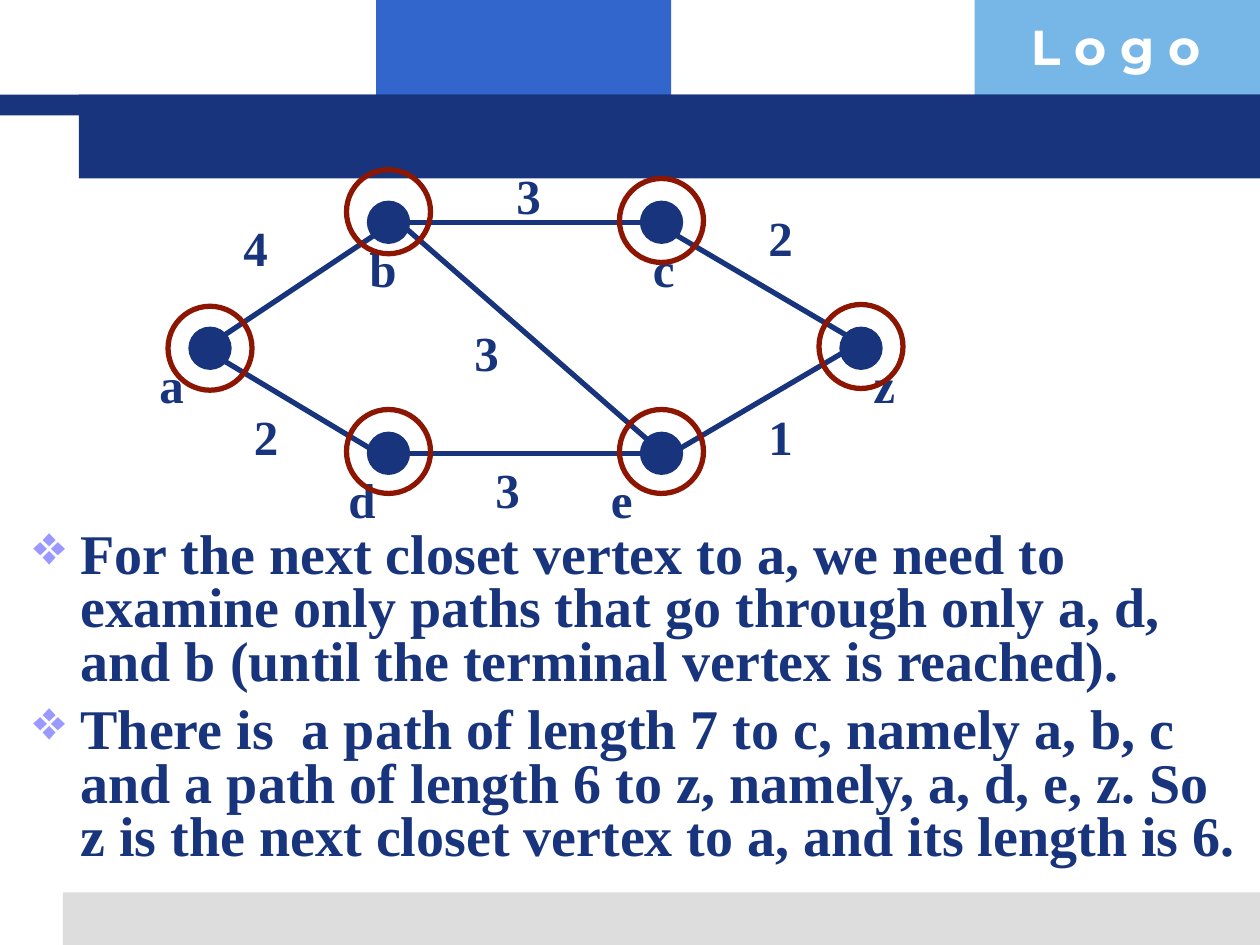
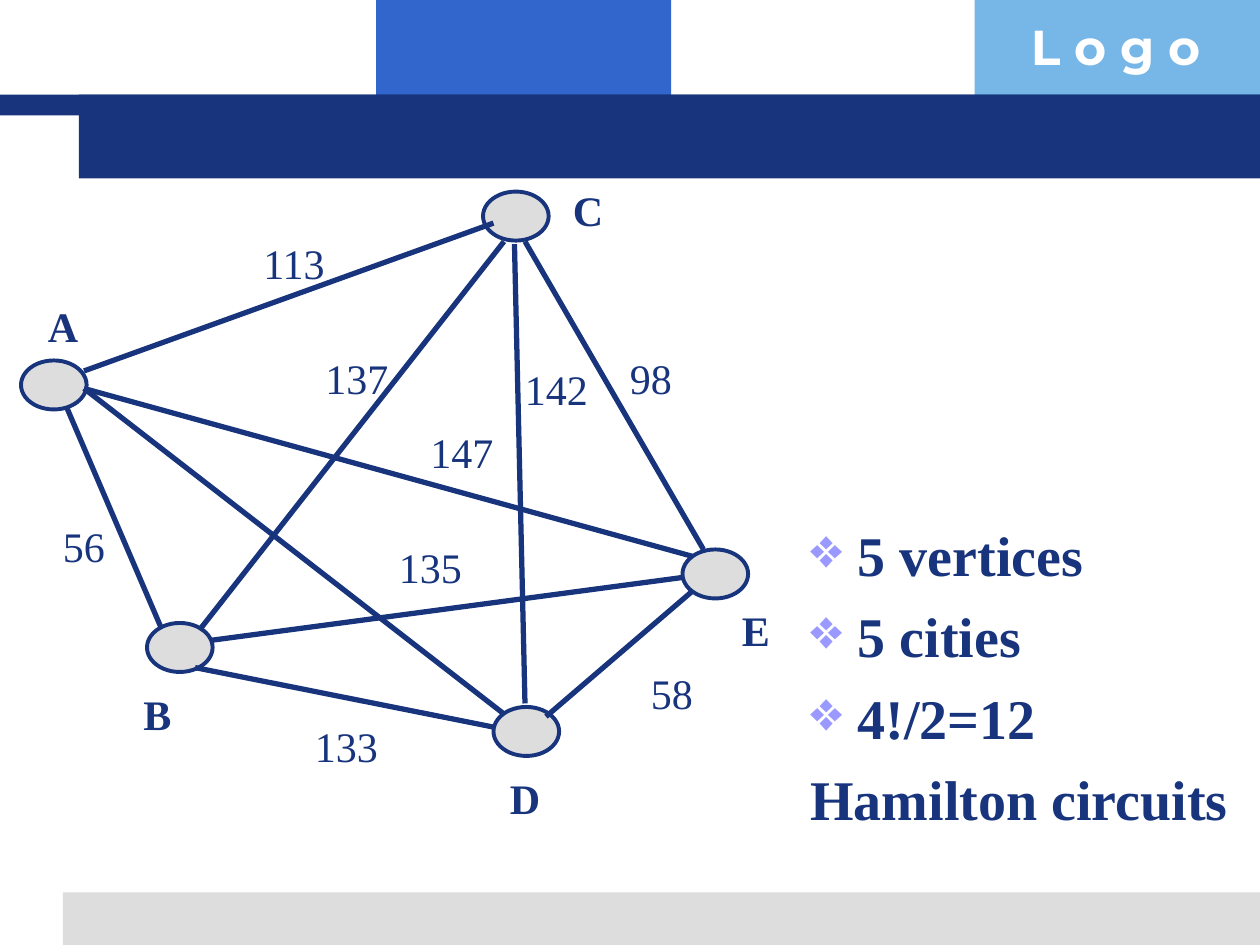
import pptx
import pptx.util
import pptx.dml.color
import pptx.enum.shapes
import pptx.enum.text
import pptx.oxml.ns
import lxml.etree

Pt = pptx.util.Pt
RGB = pptx.dml.color.RGBColor
SHAPE = pptx.enum.shapes.MSO_SHAPE
ALIGN = pptx.enum.text.PP_ALIGN
ANCHOR = pptx.enum.text.MSO_ANCHOR

NAVY = RGB(0x17, 0x34, 0x7D)
BLUE = RGB(0x33, 0x66, 0xCC)
SKY = RGB(0x77, 0xB7, 0xE7)
GREY = RGB(0xDD, 0xDD, 0xDD)
WHITE = RGB(0xFF, 0xFF, 0xFF)
LILAC = RGB(0x99, 0x99, 0xFF)
RED = RGB(0x8C, 0x16, 0x02)

BANDS = [
    ((215, 0, 168.5, 66), BLUE),
    ((557, 0, 163, 66), SKY),
    ((36, 510, 684, 30), GREY),
    ((0, 54, 720, 12), NAVY),
    ((45, 54, 675, 48), NAVY),
]

PATH_VERTICES = [
    ("a", (108, 187), (84, 199), (96, 175)),
    ("b", (210, 115), (204, 133), (198, 97)),
    ("c", (366, 115), (366, 133), (354, 102)),
    ("z", (480, 187), (492, 199), (468, 174)),
    ("d", (210, 247), (192, 265), (198, 234)),
    ("e", (366, 247), (342, 265), (354, 234)),
]
PATH_EDGES = [
    ("4", (126, 193), (216, 133), (132, 121)),
    ("3", (228, 127), (372, 127), (288, 91)),
    ("2", (384, 133), (486, 193), (432, 115)),
    ("2", (126, 205), (216, 259), (138, 229)),
    ("3", (228, 259), (378, 259), (276, 259)),
    ("1", (384, 259), (486, 199), (432, 229)),
    ("3", (228, 127), (372, 253), (264, 181)),
]
PATH_NOTES = [
    "For the next closet vertex to a, we need to examine only paths that go "
    "through only a, d, and b (until the terminal vertex is reached).",
    "There is  a path of length 7 to c, namely a, b, c and a path of length 6 "
    "to z, namely, a, d, e, z. So z is the next closet vertex to a, and its "
    "length is 6.",
]

CITIES = [
    ("A", (12, 206), (18, 168)),
    ("B", (84, 356), (72, 390)),
    ("C", (276, 109.5), (318, 102)),
    ("D", (282, 404), (282, 438)),
    ("E", (390, 314), (414, 342)),
]
ROADS = [
    ("113", (48, 212), (282, 127.5), (132, 132)),
    ("56", (38, 232.5), (92, 358.5), (12, 294)),
    ("133", (111.5, 381.5), (282, 415.5), (162, 408)),
    ("58", (312, 409.5), (396, 337.5), (348, 378)),
    ("98", (300, 138), (402, 314), (336, 198)),
    ("137", (114, 360), (288, 138), (168, 198)),
    ("135", (120, 366), (390, 330), (210, 306)),
    ("", (48, 222), (288, 408), None),
    ("147", (48, 222), (396, 318), (228, 240)),
    ("142", (300, 402), (294, 139.5), (282, 204)),
]


class GraphDeck:
    serif = "Times New Roman"

    def __init__(self):
        self.deck = pptx.Presentation()
        self.deck.slide_width, self.deck.slide_height = Pt(720), Pt(540)
        self.slide = None

    def new_slide(self):
        self.slide = self.deck.slides.add_slide(self.deck.slide_layouts[6])
        for box, color in BANDS:
            self.shape(SHAPE.RECTANGLE, box, color)
        self.label("L o g o", (582, 6, 138, 41), 28, color=WHITE, font="Montserrat")

    def shape(self, kind, box, fill=None, line=None, width=0.75):
        shape = self.slide.shapes.add_shape(kind, *map(Pt, box))
        shape.shadow.inherit = False
        if fill is None:
            shape.fill.background()
        else:
            shape.fill.solid()
            shape.fill.fore_color.rgb = fill
        if line is None:
            shape.line.fill.background()
        else:
            shape.line.color.rgb = line
            shape.line.width = Pt(width)

    def edge(self, start, end):
        edge = self.slide.shapes.add_connector(
            pptx.enum.shapes.MSO_CONNECTOR.STRAIGHT, *map(Pt, start + end))
        edge.line.color.rgb = NAVY
        edge.line.width = Pt(3)
        lxml.etree.SubElement(edge._element.spPr, pptx.oxml.ns.qn("a:effectLst"))

    def style(self, paragraph, size, bold, color=NAVY, font=serif):
        paragraph.font.size = Pt(size)
        paragraph.font.bold = bold
        paragraph.font.name = font
        paragraph.font.color.rgb = color

    def frame(self, box):
        frame = self.slide.shapes.add_textbox(*map(Pt, box)).text_frame
        frame.word_wrap = True
        return frame

    def label(self, text, box, size, bold=True, centred=False, **look):
        frame = self.frame(box)
        paragraph = frame.paragraphs[0]
        paragraph.text = text
        if centred:
            frame.vertical_anchor = ANCHOR.MIDDLE
            paragraph.alignment = ALIGN.CENTER
        self.style(paragraph, size, bold, **look)

    def bullets(self, items, box, spacing=1.0, closing=None):
        frame = self.frame(box)
        lines = items + ([closing] if closing else [])
        for index, text in enumerate(lines):
            paragraph = frame.add_paragraph() if index else frame.paragraphs[0]
            paragraph.text = text
            properties = paragraph._p.get_or_add_pPr()
            properties.set("marL", str(Pt(27)))
            properties.set("indent", str(-Pt(27)))
            if index < len(items):
                self.bullet(properties)
            paragraph.line_spacing = spacing
            if index:
                paragraph.space_before = Pt(8)
            self.style(paragraph, 32, True)

    def bullet(self, properties):
        qn = pptx.oxml.ns.qn
        color = lxml.etree.SubElement(properties, qn("a:buClr"))
        lxml.etree.SubElement(color, qn("a:srgbClr"), val=str(LILAC))
        lxml.etree.SubElement(properties, qn("a:buChar"), char="❖")


def shortest_path_slide(deck):
    deck.new_slide()
    deck.bullets(PATH_NOTES, (12, 300, 708, 222), spacing=0.8)
    for _, vertex, _, _ in PATH_VERTICES:
        deck.shape(SHAPE.OVAL, vertex + (24, 24), NAVY, NAVY)
    for _, start, end, _ in PATH_EDGES:
        deck.edge(start, end)
    for name, _, place, _ in PATH_VERTICES:
        deck.label(name, place + (36, 41), 28)
    for weight, _, _, place in PATH_EDGES:
        deck.label(weight, place + (36, 41), 28)
    for _, _, _, ring in PATH_VERTICES:
        deck.shape(SHAPE.OVAL, ring + (48, 48), line=RED, width=3)


def hamilton_slide(deck):
    deck.new_slide()
    for _, city, _ in CITIES:
        deck.shape(SHAPE.OVAL, city + (37.5, 28), GREY, NAVY, 2.25)
    for _, start, end, _ in ROADS:
        deck.edge(start, end)
    for name, _, place in CITIES:
        deck.label(name, place + (36, 36), 24, centred=True)
    for distance, _, _, place in ROADS:
        if place:
            deck.label(distance, place + (72, 36), 24, bold=False, centred=True)
    deck.bullets(["5 vertices", "5 cities", "4!/2=12"], (456, 294, 264, 192),
                 closing="Hamilton circuits")


def main():
    deck = GraphDeck()
    shortest_path_slide(deck)
    hamilton_slide(deck)
    deck.deck.save("out.pptx")


if __name__ == "__main__":
    main()
